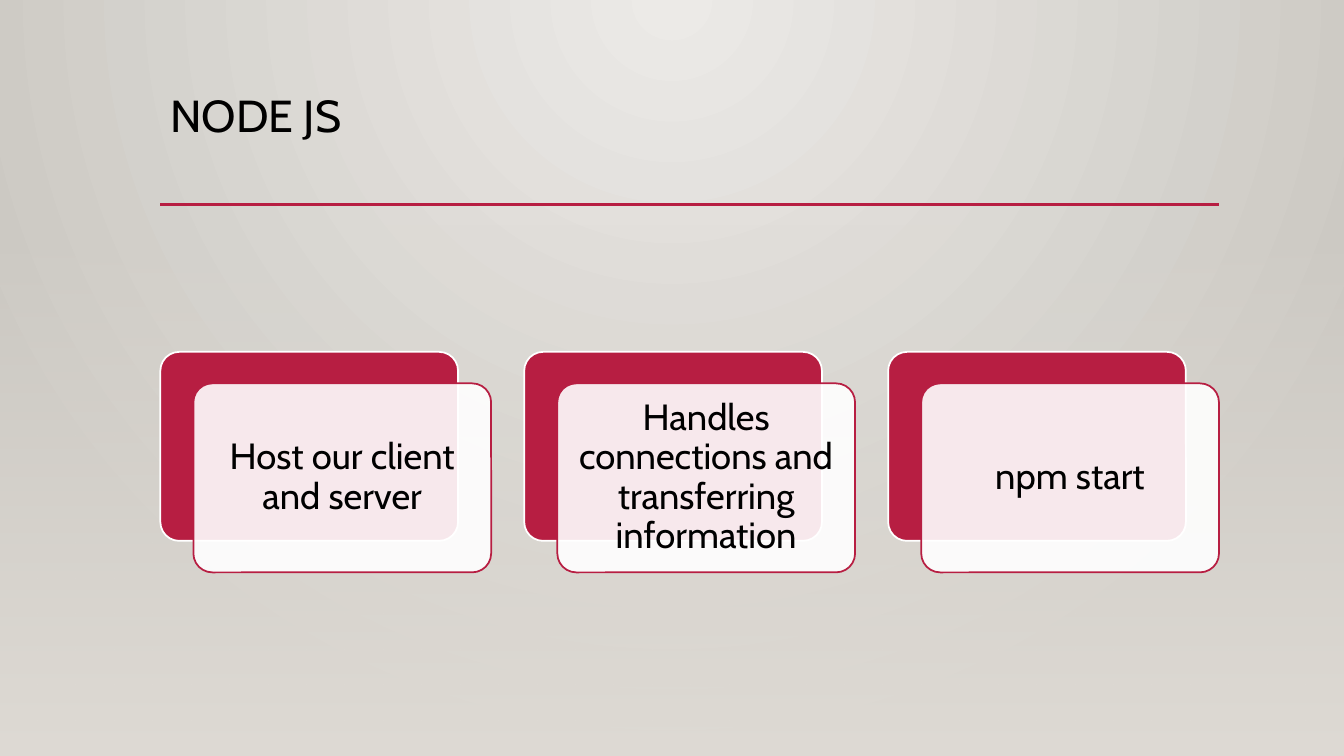
from dataclasses import dataclass

from pptx import Presentation
from pptx import util as u
from pptx.dml.color import RGBColor
from pptx.enum import shapes, text
from pptx.oxml import parse_xml
from pptx.oxml.ns import nsdecls, qn


@dataclass(frozen=True)
class Theme:
    """Colours, font and type sizes of the slide."""
    font: str = "Cabin"
    ink: str = "000000"
    accent: str = "B71E42"
    paper: str = "FFFFFF"
    glow: str = "ECEAE7"
    edge: str = "CAC7C1"
    veil: str = "DFDBD5"
    title_size: float = 32
    card_size: float = 26
    rule_width: float = 2.5
    outline: float = 1.25


WIDTH, HEIGHT = 13.33, 7.5
LEFT, CONTENT = 1.59, 10.5
COLUMN, ROW = CONTENT / 32, HEIGHT / 24
CARD_COLUMNS, CARD_ROWS, CARD_STEP, CARD_TOP = 9, 6, 11, 11.17
CARDS = [
    "Host our client and server",
    "Handles connections and transferring information",
    "npm start",
]


def x_at(column):
    """Give the horizontal position of a content column."""
    return u.Inches(LEFT + column * COLUMN)


def y_at(row):
    """Give the vertical position of a row."""
    return u.Inches(row * ROW)


def write(frame, words, *, font, size, color, align, anchor, inset):
    """Fill a text frame with one formatted paragraph."""
    frame.word_wrap = True
    frame.auto_size = text.MSO_AUTO_SIZE.NONE
    frame.vertical_anchor = anchor
    frame.margin_left = frame.margin_right = u.Inches(inset[0])
    frame.margin_top = frame.margin_bottom = u.Inches(inset[1])
    para = frame.paragraphs[0]
    para.alignment = align
    para.line_spacing = 0.9
    span = para.add_run()
    span.text = words
    span.font.name = font
    span.font.size = u.Pt(size)
    span.font.color.rgb = RGBColor.from_string(color)


def set_alpha(color_element, percent):
    """Set the opacity of a colour element."""
    color_element.append(parse_xml(
        f'<a:alpha {nsdecls("a")} val="{percent * 1000}"/>'))


def set_gradient(fill, colors):
    """Give a fill a two-stop gradient running downwards."""
    fill.gradient()
    fill.gradient_angle = 270
    for stop, color in zip(fill.gradient_stops, colors):
        stop.color.rgb = RGBColor.from_string(color)


class Sheet:
    """Hold the theme and the current slide, and draw on it."""

    def __init__(self, page, theme):
        """Keep the slide and its theme."""
        self.page, self.theme = page, theme

    def backdrop(self):
        """Paint the round glow from the top centre."""
        set_gradient(self.page.background.fill,
                     (self.theme.glow, self.theme.edge))
        line = next(self.page.element.iter(qn("a:lin")))
        line.getparent().replace(line, parse_xml(
            f'<a:path {nsdecls("a")} path="circle"><a:fillToRect '
            'l="43000" t="0" r="43000" b="100000"/></a:path>'))

    def veil(self, top):
        """Lay a fading sheet from a row down to the bottom."""
        box = self.page.shapes.add_shape(
            shapes.MSO_SHAPE.RECTANGLE, 0, y_at(top),
            u.Inches(WIDTH), u.Inches(HEIGHT) - y_at(top))
        box.shadow.inherit = False
        box.line.fill.background()
        set_gradient(box.fill, (self.theme.veil, self.theme.veil))
        set_alpha(next(box.element.iter(qn("a:srgbClr"))), 0)

    def title(self, words, top, rows):
        """Place the title in its placeholder."""
        box = self.page.shapes.title
        box.left, box.top = x_at(0), y_at(top)
        box.width, box.height = u.Inches(CONTENT), y_at(rows)
        write(box.text_frame, words, font=self.theme.font,
              size=self.theme.title_size, color=self.theme.ink,
              align=text.PP_ALIGN.LEFT, anchor=text.MSO_ANCHOR.TOP,
              inset=(0.1, 0.05))

    def rule(self, row):
        """Draw a line across the content width."""
        line = self.page.shapes.add_connector(
            shapes.MSO_CONNECTOR.STRAIGHT,
            x_at(0), y_at(row), x_at(32), y_at(row))
        line.line.color.rgb = RGBColor.from_string(self.theme.accent)
        line.line.width = u.Pt(self.theme.rule_width)
        line.element.spPr.append(
            parse_xml(f'<a:effectLst {nsdecls("a")}/>'))

    def panel(self, column, row, fill, outline):
        """Draw one rounded panel."""
        box = self.page.shapes.add_shape(
            shapes.MSO_SHAPE.ROUNDED_RECTANGLE, x_at(column), y_at(row),
            u.Inches(CARD_COLUMNS * COLUMN), y_at(CARD_ROWS))
        box.adjustments[0] = 0.1
        box.shadow.inherit = False
        box.fill.solid()
        box.fill.fore_color.rgb = RGBColor.from_string(fill)
        box.line.color.rgb = RGBColor.from_string(outline)
        box.line.width = u.Pt(self.theme.outline)
        return box

    def card(self, column, row, words):
        """Draw a panel with a translucent text panel offset over it."""
        theme = self.theme
        self.panel(column, row, theme.accent, theme.paper)
        front = self.panel(column + 1, row + 1, theme.paper, theme.accent)
        set_alpha(next(front.element.iter(qn("a:srgbClr"))), 90)
        write(front.text_frame, words, font=theme.font,
              size=theme.card_size, color=theme.ink,
              align=text.PP_ALIGN.CENTER, anchor=text.MSO_ANCHOR.MIDDLE,
              inset=(0.16, 0.16))


def main():
    """Build the slide and save it."""
    deck = Presentation()
    deck.slide_width, deck.slide_height = u.Inches(WIDTH), u.Inches(HEIGHT)
    sheet = Sheet(deck.slides.add_slide(deck.slide_layouts[5]), Theme())
    sheet.backdrop()
    sheet.title("NODE JS", top=2.82, rows=3.68)
    sheet.rule(6.5)
    sheet.veil(7.07)
    for index, words in enumerate(CARDS):
        sheet.card(index * CARD_STEP, CARD_TOP, words)
    deck.save("out.pptx")


main()
